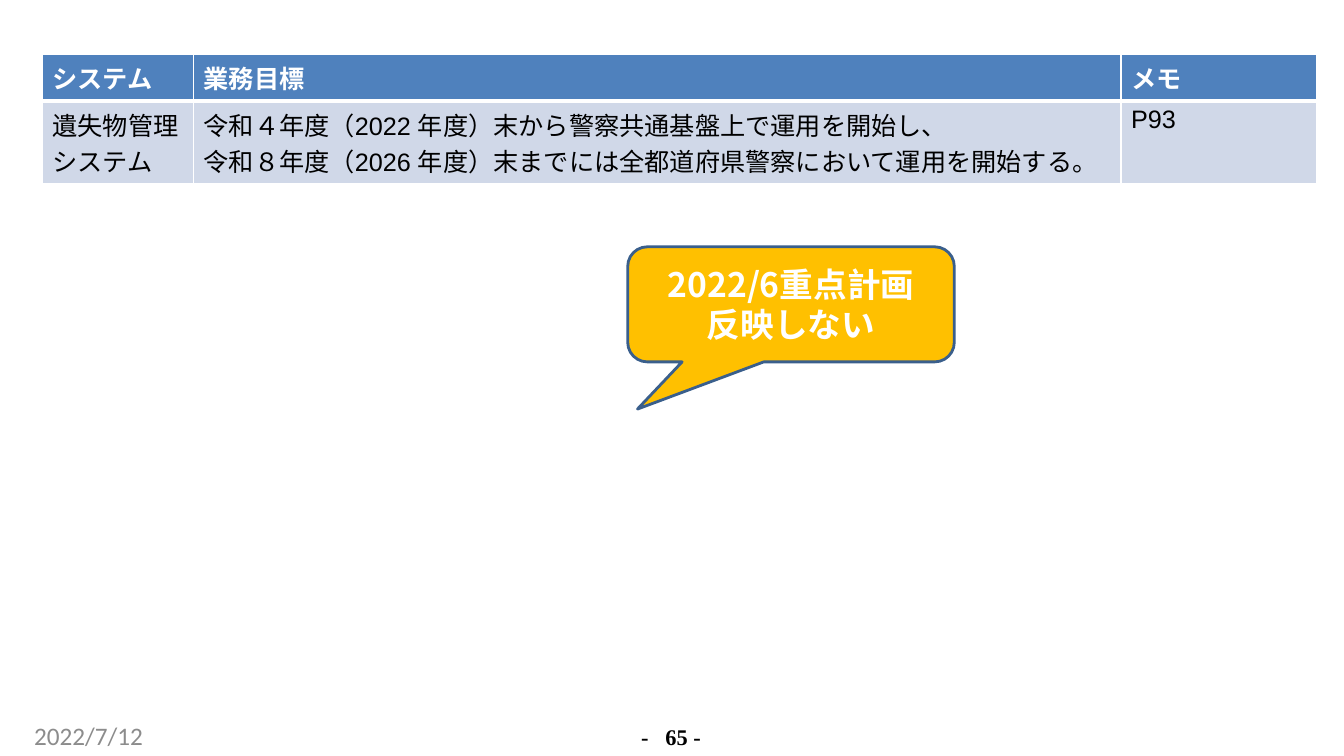
import dataclasses

import lxml.etree
import pptx
import pptx.dml.color
import pptx.enum.shapes
import pptx.enum.text
import pptx.oxml
import pptx.oxml.ns
import pptx.util

Cm = pptx.util.Cm
Pt = pptx.util.Pt
qn = pptx.oxml.ns.qn


@dataclasses.dataclass(frozen=True)
class Theme:
    white: str = "FFFFFF"
    black: str = "000000"
    grey: str = "8C8C8C"
    header: str = "4F81BD"
    band: str = "D0D8E8"
    callout: str = "FFC000"
    outline: str = "3A5F8C"
    japanese: str = "Noto Sans CJK JP"
    body_size: int = 18
    callout_size: int = 24
    number_size: int = 16


theme = Theme()


def rgb(code):
    return pptx.dml.color.RGBColor.from_string(code)


def write(frame, text, font, size, color, bold=False, align=None):
    frame.text = text
    for para in frame.paragraphs:
        para.alignment = align
        for span in para.runs:
            span.font.name = font
            span.font.size = Pt(size)
            span.font.bold = bold
            span.font.color.rgb = rgb(color)
            latin = span.font._element.find(qn("a:latin"))
            east_asian = lxml.etree.Element(qn("a:ea"), typeface=theme.japanese)
            latin.addnext(east_asian)


deck = pptx.Presentation()
deck.slide_width, deck.slide_height = Cm(33.87), Cm(19.05)
page = deck.slides.add_slide(deck.slide_layouts[6])
center = pptx.enum.text.PP_ALIGN.CENTER

# Table of goals
rows = [
    ["システム", "業務目標", "メモ"],
    [
        "遺失物管理システム",
        "令和４年度（2022 年度）末から警察共通基盤上で運用を開始し、\n"
        "令和８年度（2026 年度）末までには全都道府県警察において運用を開始する。",
        "P93",
    ],
]
widths = [3.81, 23.37, 4.93]
row_height = 1.04
table = page.shapes.add_table(
    len(rows), len(widths), Cm(1.07), Cm(1.37), Cm(sum(widths)), Cm(row_height * len(rows))
).table
for column, width in zip(table.columns, widths):
    column.width = Cm(width)

for row_index, texts in enumerate(rows):
    is_header = row_index == 0
    table.rows[row_index].height = Cm(row_height)
    # The edge between header and body is heavier
    borders = {"lnL": 1, "lnR": 1, "lnT": 1 if is_header else 3, "lnB": 3 if is_header else 1}
    for column_index, text in enumerate(texts):
        cell = table.cell(row_index, column_index)
        properties = cell._tc.get_or_add_tcPr()
        for side, points in borders.items():
            line = lxml.etree.SubElement(properties, qn(f"a:{side}"), w=str(Pt(points)))
            fill = lxml.etree.SubElement(line, qn("a:solidFill"))
            lxml.etree.SubElement(fill, qn("a:srgbClr"), val=theme.white)
        cell.fill.solid()
        cell.fill.fore_color.rgb = rgb(theme.header if is_header else theme.band)
        write(cell.text_frame, text, "Arial", theme.body_size,
              theme.white if is_header else theme.black, is_header)

# Callout
callout = page.shapes.add_shape(
    pptx.enum.shapes.MSO_SHAPE.ROUNDED_RECTANGULAR_CALLOUT,
    Cm(15.82), Cm(6.22), Cm(8.23), Cm(2.9),
)
for index, value in enumerate([-0.47, 0.91, 0.17]):
    callout.adjustments[index] = value
callout.shadow.inherit = False
callout.fill.solid()
callout.fill.fore_color.rgb = rgb(theme.callout)
callout.line.color.rgb = rgb(theme.outline)
callout.line.width = Pt(2)
callout.text_frame.vertical_anchor = pptx.enum.text.MSO_ANCHOR.MIDDLE
write(callout.text_frame, "2022/6重点計画\n反映しない", theme.japanese,
      theme.callout_size, theme.white, True, center)

# Footer: date and page number
date_box = page.shapes.add_textbox(Cm(0.86), Cm(18.14), Cm(7.8), Cm(0.76))
number_box = page.shapes.add_textbox(Cm(15.82), Cm(18.26), Cm(2.18), Cm(0.64))
for box in (date_box, number_box):
    frame = box.text_frame
    frame.word_wrap = True
    frame.margin_left = frame.margin_top = frame.margin_right = frame.margin_bottom = 0
write(date_box.text_frame, "2022/7/12", "Calibri", theme.body_size, theme.grey)
write(number_box.text_frame, "-\t65 -", "Times New Roman",
      theme.number_size, theme.black, True, center)

number_para = number_box.text_frame.paragraphs[0]
tabs = lxml.etree.SubElement(number_para._p.get_or_add_pPr(), qn("a:tabLst"))
lxml.etree.SubElement(tabs, qn("a:tab"), pos=str(Cm(0.61)), algn="l")
number_para.line_spacing = Pt(18.4)

deck.save("out.pptx")
